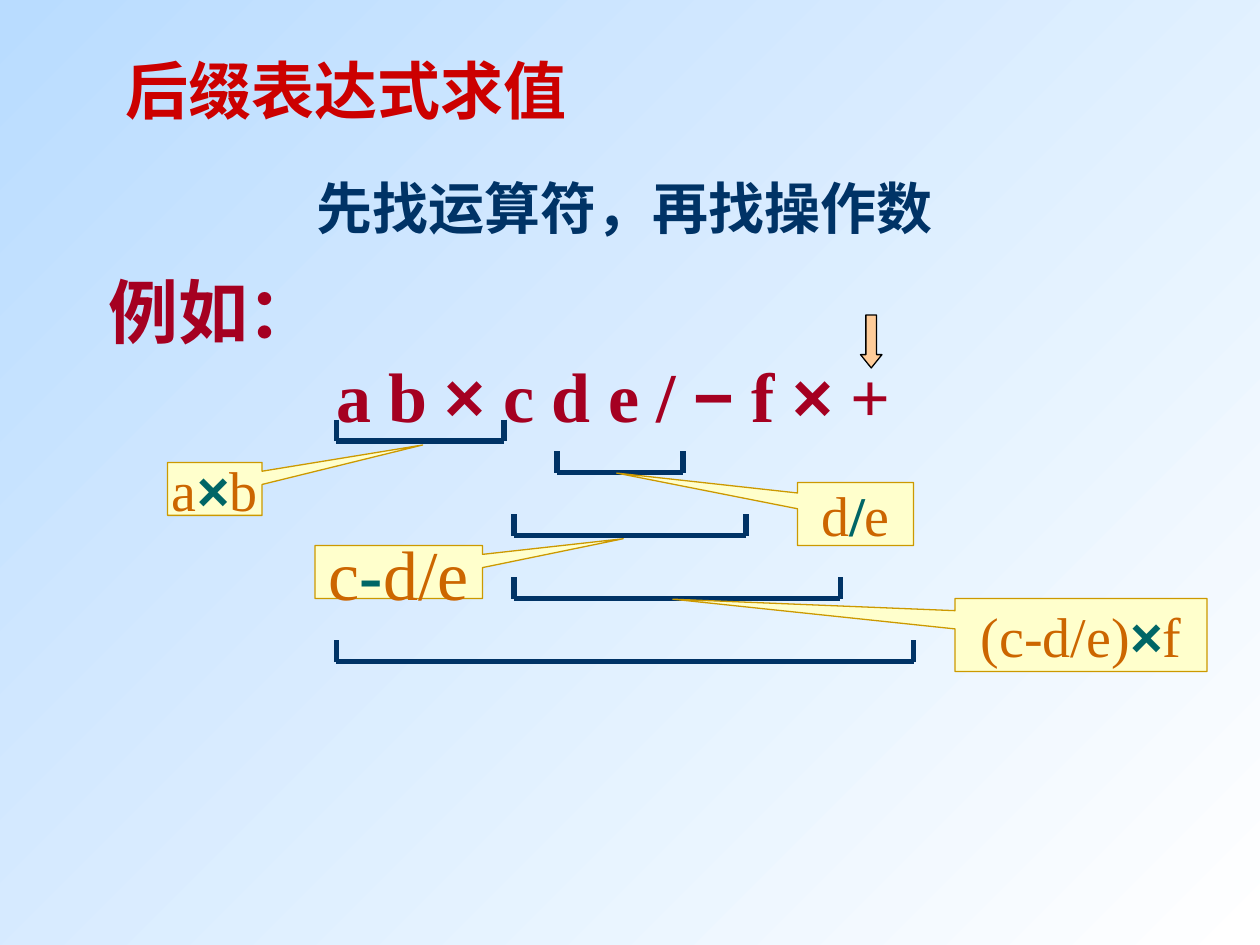
from lxml.etree import SubElement
from pptx import Presentation
from pptx.dml.color import RGBColor
from pptx.enum.shapes import MSO_CONNECTOR, MSO_SHAPE
from pptx.enum.text import MSO_ANCHOR, PP_ALIGN
from pptx.oxml.ns import qn
from pptx.util import Inches, Pt

WHITE = RGBColor(0xFF, 0xFF, 0xFF)
SKY = RGBColor(0xB9, 0xDC, 0xFF)
RED = RGBColor(0xCC, 0x00, 0x00)
NAVY = RGBColor(0x00, 0x33, 0x66)
CRIMSON = RGBColor(0xA5, 0x00, 0x21)
ORANGE = RGBColor(0xCC, 0x66, 0x00)
TEAL = RGBColor(0x00, 0x66, 0x66)
CREAM = RGBColor(0xFF, 0xFF, 0xCC)
GOLD = RGBColor(0xCC, 0x99, 0x00)
PEACH = RGBColor(0xFF, 0xCC, 0x99)
BLACK = RGBColor(0x00, 0x00, 0x00)
SERIF, SANS = "Times New Roman", "Arial"


def add_run(paragraph, text, size, color, bold=True):
    run = paragraph.add_run()
    run.text = text
    run.font.name = SANS if text in ("×", "−") else SERIF
    run.font.size = Pt(size)
    run.font.bold = bold
    run.font.color.rgb = color


def add_outlined_shape(kind, box, fill, line):
    shape = slide.shapes.add_shape(kind, *map(Inches, box))
    shape.shadow.inherit = False
    shape.fill.solid()
    shape.fill.fore_color.rgb = fill
    shape.line.color.rgb = line
    shape.line.width = Pt(0.75)
    return shape


presentation = Presentation()
presentation.slide_width = Inches(10)
presentation.slide_height = Inches(7.5)
slide = presentation.slides.add_slide(presentation.slide_layouts[6])

# Background: white at the bottom right, blue at the top left
background = slide.background.fill
background.gradient()
background.gradient_angle = 135
for stop, color, position in zip(background.gradient_stops, (WHITE, SKY), (0, 1)):
    stop.color.rgb = color
    stop.position = position

# Title and subtitle
headings = [
    ("后缀表达式求值", (0.75, 0.33, 4, 0.75), 36, RED, MSO_ANCHOR.MIDDLE),
    ("先找运算符，再找操作数", (0.67, 1.33, 8.58, 0.83), 32, NAVY, MSO_ANCHOR.TOP),
]
for text, box, size, color, anchor in headings:
    frame = slide.shapes.add_textbox(*map(Inches, box)).text_frame
    frame.word_wrap = True
    frame.vertical_anchor = anchor
    frame.paragraphs[0].alignment = PP_ALIGN.CENTER
    add_run(frame.paragraphs[0], text, size, color)

# Example with the postfix expression
frame = slide.shapes.add_textbox(
    Inches(0.76), Inches(2.08), Inches(6.5), Inches(1.44)).text_frame
frame.word_wrap = True
add_run(frame.paragraphs[0], "例如：", 40, CRIMSON)
expression = frame.add_paragraph()
properties = expression._p.get_or_add_pPr()
properties.set("marL", str(Inches(1.81)))
properties.set("indent", "0")
for text in ("a b ", "×", " c d e / ", "−", " f ", "×", " +"):
    add_run(expression, text, 40, CRIMSON)

# Brackets under the operands: left, right, bottom
TICK = 0.17
for left, right, bottom in [(2.67, 4, 3.5), (4.42, 5.42, 3.75), (4.08, 5.92, 4.25),
                            (4.08, 6.67, 4.75), (2.67, 7.25, 5.25)]:
    top = bottom - TICK
    for ends in [(left, bottom, right, bottom), (left, top, left, bottom),
                 (right, top, right, bottom)]:
        connector = slide.shapes.add_connector(
            MSO_CONNECTOR.STRAIGHT, *map(Inches, ends))
        connector.line.color.rgb = NAVY
        connector.line.width = Pt(3)
        SubElement(connector._element.spPr, qn("a:effectLst"))

# Callouts: box, pointer, text size, and operand, operator, operand
callouts = [
    ((1.33, 3.67, 0.75, 0.42), (2.2, -0.83), 32, ("a", "×", "b")),
    ((6.33, 3.83, 0.92, 0.5), (-2.06, -0.65), 32, ("d", "/", "e")),
    ((2.5, 4.33, 1.33, 0.42), (1.34, -0.63), 40, ("c", "-", "d/e")),
    ((7.58, 4.75, 2, 0.58), (-1.62, -0.49), 32, ("(c-d/e)", "×", "f")),
]
for box, pointer, size, texts in callouts:
    shape = add_outlined_shape(MSO_SHAPE.RECTANGULAR_CALLOUT, box, CREAM, GOLD)
    shape.adjustments[0], shape.adjustments[1] = pointer
    frame = shape.text_frame
    frame.word_wrap = False
    frame.vertical_anchor = MSO_ANCHOR.MIDDLE
    paragraph = frame.paragraphs[0]
    paragraph.alignment = PP_ALIGN.CENTER
    for text, color in zip(texts, (ORANGE, TEAL, ORANGE)):
        add_run(paragraph, text, size, color, bold=color == TEAL)

# Arrow at the current operator
arrow = add_outlined_shape(MSO_SHAPE.DOWN_ARROW, (6.83, 2.5, 0.17, 0.42), PEACH, BLACK)
arrow.adjustments[1] = 0.62

presentation.save("out.pptx")
